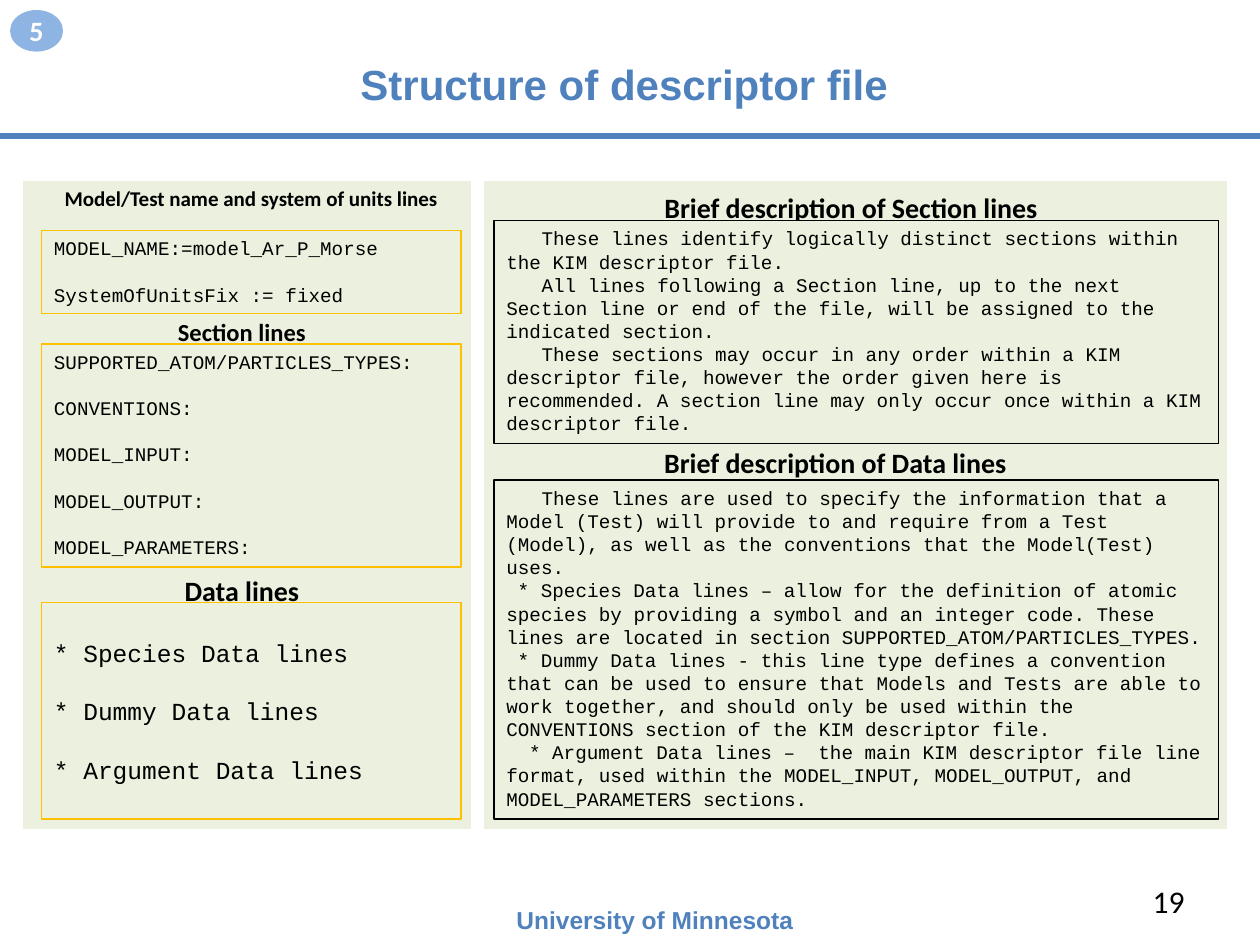
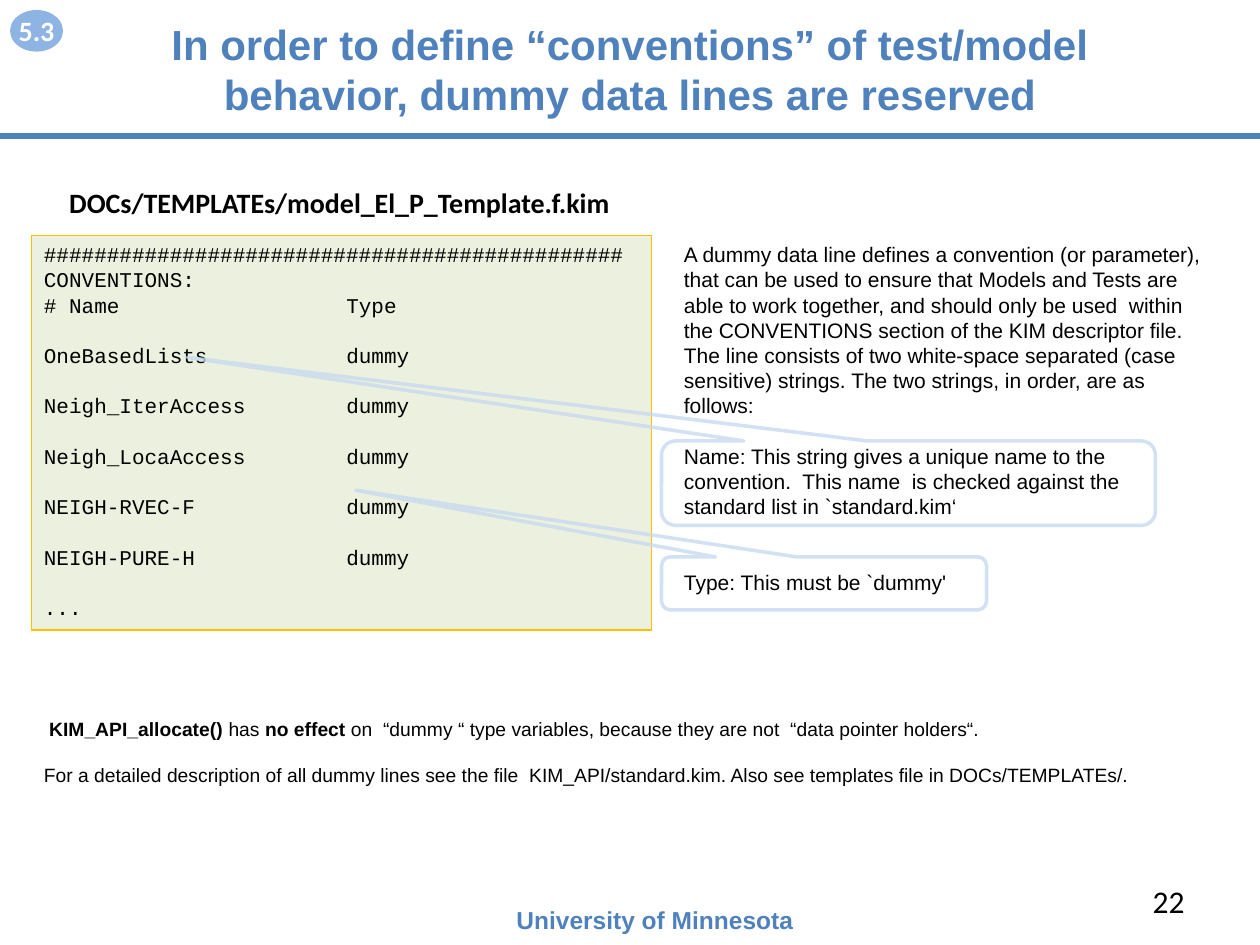
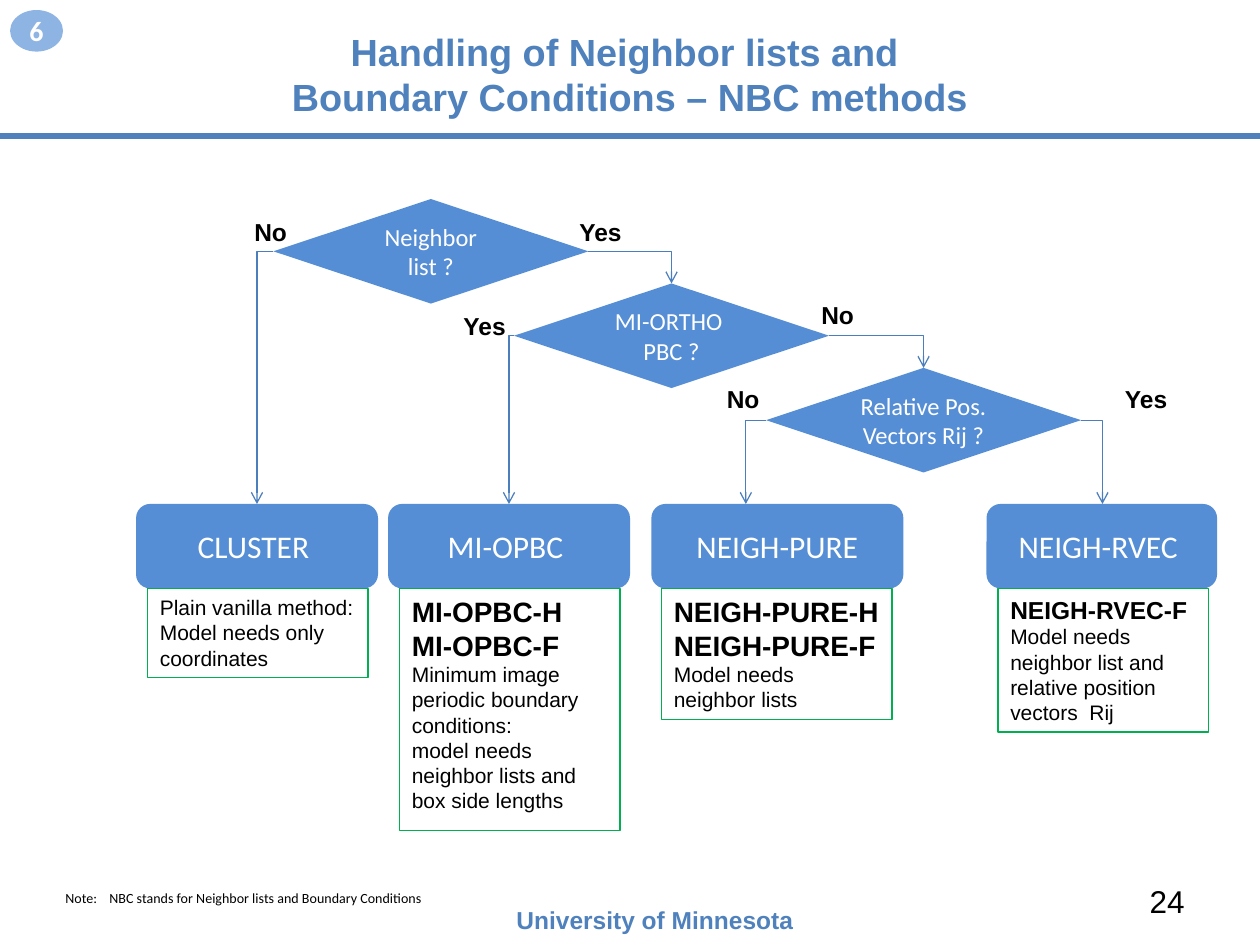
from lxml import etree
from pptx import Presentation
from pptx.dml.color import RGBColor
from pptx.enum.shapes import MSO_CONNECTOR, MSO_SHAPE
from pptx.enum.text import MSO_ANCHOR, PP_ALIGN
from pptx.oxml.ns import qn
from pptx.util import Inches, Pt

COLORS = {
    "accent": "4F81BD", "badge": "8EB4E3", "node": "558ED5", "arrow": "4B7EBC",
    "panel": "EBF1DE", "gold": "FFC000", "green": "00B050", "callout": "C6D9F1",
    "black": "000000", "white": "FFFFFF",
}
SANS, BODY, CODE = "Arial", "Calibri", "Courier New"
CENTER, RIGHT = PP_ALIGN.CENTER, PP_ALIGN.RIGHT
LINE_HEIGHT = 1.2


def rgb(name):
    return RGBColor.from_string(COLORS[name])


def sub(parent, tag, **attrs):
    return etree.SubElement(parent, qn(tag), attrs)


def write(sp, paras, size=12, font=SANS, color="black", bold=False, align=None,
          anchor=MSO_ANCHOR.TOP, gaps=(), indents=(), tab=None, insets=None):
    """Fill a shape with paragraphs: each a string or a list of (text, size, bold).

    gaps holds the lines left free before each paragraph, indents its first-line
    indent and tab one tab stop, both in inches.
    """
    tf = sp.text_frame
    tf.word_wrap = True
    tf.vertical_anchor = anchor
    if insets:
        (tf.margin_left, tf.margin_top,
         tf.margin_right, tf.margin_bottom) = map(Inches, insets)
    if isinstance(paras, str):
        paras = [paras]
    for i, runs in enumerate(paras):
        p = tf.paragraphs[0] if i == 0 else tf.add_paragraph()
        p.alignment = align
        if i < len(gaps) and gaps[i]:
            p.space_before = Pt(gaps[i] * LINE_HEIGHT * size)
        pPr = p._p.get_or_add_pPr()
        if i < len(indents):
            pPr.set("indent", str(Inches(indents[i])))
        if tab:
            sub(sub(pPr, "a:tabLst"), "a:tab", pos=str(Inches(tab)), algn="l")
        for text, r_size, r_bold in [(runs, size, bold)] if isinstance(runs, str) else runs:
            r = p.add_run()
            r.text = text
            r.font.size, r.font.name, r.font.bold = Pt(r_size), font, r_bold
            r.font.color.rgb = rgb(color)


def add_text(s, box, paras, **fmt):
    write(s.shapes.add_textbox(*map(Inches, box)), paras, **fmt)


def add_box(s, kind, box, fill=None, line=None, width=0.75, paras=None, **fmt):
    sp = s.shapes.add_shape(kind, *map(Inches, box))
    sp.shadow.inherit = False
    if fill:
        sp.fill.solid()
        sp.fill.fore_color.rgb = rgb(fill)
    else:
        sp.fill.background()
    if line:
        sp.line.color.rgb = rgb(line)
        sp.line.width = Pt(width)
    else:
        sp.line.fill.background()
    if paras:
        write(sp, paras, **fmt)
    return sp


def add_line(s, start, end, color, width, kind=MSO_CONNECTOR.STRAIGHT):
    c = s.shapes.add_connector(kind, *map(Inches, start + end))
    c.line.color.rgb = rgb(color)
    c.line.width = Pt(width)
    sub(c.element.spPr, "a:effectLst")
    return c


def add_bent_arrow(s, start, end):
    """Arrow that runs sideways first, then down."""
    c = add_line(s, start, end, "arrow", 0.75, MSO_CONNECTOR.ELBOW)
    geom = c.element.spPr.find(qn("a:prstGeom"))
    geom.set("prst", "bentConnector2")
    sub(c.line._get_or_add_ln(), "a:tailEnd", type="arrow")


def add_frame(prs, title, badge, number, title_top=0.25, title_size=24, number_font=BODY):
    """New slide with title, rule, footer, page number and section badge."""
    s = prs.slides.add_slide(prs.slide_layouts[6])
    add_text(s, (0.5, title_top, 9, 0.67), title, size=title_size, color="accent",
             bold=True, align=CENTER, anchor=MSO_ANCHOR.MIDDLE)
    add_line(s, (0, 1.08), (10, 1.08), "accent", 3)
    add_text(s, (4, 7.13, 2.67, 0.34), "University of Minnesota", size=14,
             color="accent", bold=True)
    add_text(s, (7.17, 6.95, 2.33, 0.4), number, size=18, font=number_font,
             align=RIGHT, anchor=MSO_ANCHOR.MIDDLE)
    add_box(s, MSO_SHAPE.OVAL, (0.08, 0.08, 0.42, 0.33), "badge", paras=badge, size=16,
            font=BODY, color="white", bold=True, align=CENTER,
            anchor=MSO_ANCHOR.MIDDLE, insets=(0, 0.05, 0, 0.05))
    return s


def add_panel(s, box, line, sections):
    """Tinted panel; sections give (heading box, heading, size, body box, body, format)."""
    x, y, w, h = box
    add_box(s, MSO_SHAPE.RECTANGLE, box, "panel", "white", 2)
    for (hx, hy, hw, hh), heading, size, (bx, by, bw, bh), body, fmt in sections:
        add_text(s, (x + hx, y + hy, hw, hh), heading, size=size, font=BODY,
                 bold=True, align=CENTER)
        add_box(s, MSO_SHAPE.RECTANGLE, (x + bx, y + by, bw, bh), "panel", line,
                paras=body, font=CODE, **fmt)


def build_descriptor_slide(prs):
    s = add_frame(prs, "Structure of descriptor file ", "5", "19", title_top=0.33)
    spaced = (0, 1, 1, 1, 1)
    add_panel(s, (0.17, 1.42, 3.58, 5.17), "gold", [
        ((0.16, 0, 3.33, 0.3), "Model/Test name and system of units lines", 12,
         (0.16, 0.41, 3.33, 0.66),
         ["MODEL_NAME:=model_Ar_P_Morse", "SystemOfUnitsFix := fixed"],
         dict(size=11, gaps=spaced)),
        ((0.75, 1.05, 2, 0.34), "Section lines", 14,
         (0.16, 1.31, 3.33, 1.77),
         ["SUPPORTED_ATOM/PARTICLES_TYPES:", "CONVENTIONS:", "MODEL_INPUT:",
          "MODEL_OUTPUT:", "MODEL_PARAMETERS:"],
         dict(size=11, gaps=spaced)),
        ((0.75, 3.08, 2, 0.37), "Data lines", 16,
         (0.16, 3.36, 3.33, 1.72),
         ["* Species Data lines", "* Dummy Data lines", "* Argument Data lines"],
         dict(size=14, gaps=spaced, insets=(0.1, 0.28, 0.1, 0.05))),
    ])
    add_panel(s, (3.83, 1.42, 5.92, 5.17), "black", [
        ((1.34, 0.04, 3.17, 0.64), "Brief description of Section lines", 16,
         (0.09, 0.33, 5.75, 1.77),
         ["These lines identify logically distinct sections within the KIM descriptor file.",
          "All lines following a Section line, up to the next Section line or end of "
          "the file, will be assigned to the indicated section.",
          "These sections may occur in any order within a KIM descriptor file, however "
          "the order given here is recommended. A section line may only occur once "
          "within a KIM descriptor file."],
         dict(size=11, indents=(0.28, 0.28, 0.28))),
        ((0.59, 2.07, 4.42, 0.37), "Brief description of Data lines", 16,
         (0.09, 2.39, 5.75, 2.69),
         ["These lines are used to specify the information that a Model (Test) will "
          "provide to and require from a Test (Model), as well as the conventions that "
          "the Model(Test) uses.",
          "* Species Data lines – allow for the definition of atomic species by providing "
          "a symbol and an integer code. These lines are located in section "
          "SUPPORTED_ATOM/PARTICLES_TYPES.",
          "* Dummy Data lines - this line type defines a convention that can be used to "
          "ensure that Models and Tests are able to work together, and should only be "
          "used within the CONVENTIONS section of the KIM descriptor file.",
          "* Argument Data lines –  the main KIM descriptor file line format, used within "
          "the MODEL_INPUT, MODEL_OUTPUT, and MODEL_PARAMETERS sections."],
         dict(size=11, indents=(0.28, 0.09, 0.09, 0.18))),
    ])


def add_callout(s, box, tip):
    sp = add_box(s, MSO_SHAPE.ROUNDED_RECTANGULAR_CALLOUT, box, None, "callout", 2)
    sp.adjustments[0], sp.adjustments[1] = tip
    color = sp.line._get_or_add_ln().find(".//" + qn("a:srgbClr"))
    sub(color, "a:alpha", val="77000")


def add_code_listing(s, box):
    names = ["OneBasedLists", "Neigh_IterAccess", "Neigh_LocaAccess",
             "NEIGH-RVEC-F", "NEIGH-PURE-H"]
    lines = (["#" * 46, "CONVENTIONS:", "# Name\tType"]
             + [f"{name}\tdummy" for name in names] + ["..."])
    add_box(s, MSO_SHAPE.RECTANGLE, box, "panel", "gold", paras=lines, font=CODE,
            gaps=(0, 0, 0) + (1,) * 6, tab=2.4)


def build_conventions_slide(prs):
    s = add_frame(prs, "In order to define “conventions” of test/model behavior, "
                  "dummy data lines are reserved", "5.3", "22", title_top=0.21)
    add_code_listing(s, (0.25, 1.87, 4.92, 3.13))
    add_text(s, (5.33, 1.87, 4.33, 2.93), [
        "A dummy data line defines a convention (or parameter), that can be used to ensure "
        "that Models and Tests are able to work together, and should only be used  within "
        "the CONVENTIONS section of the KIM descriptor file.  The line consists of two "
        "white-space separated (case sensitive) strings. The two strings, in order, are "
        "as follows:",
        "Name: This string gives a unique name to the convention.  This name  is checked "
        "against the standard list in `standard.kim‘",
        "Type: This must be `dummy'"], gaps=(0, 1, 2))
    add_callout(s, (5.25, 4.42, 2.58, 0.42), (-1.44, -1.76))
    add_callout(s, (5.25, 3.5, 3.92, 0.67), (-1.46, -1.49))
    add_text(s, (0.25, 5.64, 9.17, 1.03), [
        [(" KIM_API_allocate() ", 11, True), ("has ", 11, False), ("no effect ", 11, True),
         ("on  “dummy “ type variables, because they are not  “data pointer holders“.",
          11, False)],
        "For a detailed description of all dummy lines see the file  KIM_API/standard.kim. "
        "Also see templates file in DOCs/TEMPLATEs/."], size=11, gaps=(0, 1))
    add_text(s, (0.17, 1.42, 5, 0.37), " DOCs/TEMPLATEs/model_El_P_Template.f.kim",
             size=16, font=BODY, bold=True, align=CENTER)


def add_node(s, kind, box, paras, size):
    add_box(s, kind, box, "node", paras=paras, size=size, font=BODY, color="white",
            align=CENTER, anchor=MSO_ANCHOR.MIDDLE)


def add_decision(s, x, y, question, left, right):
    """Diamond with arrows; left and right give (answer, answer x, answer y, arrow end)."""
    w, h = 2.5, 0.83
    add_node(s, MSO_SHAPE.FLOWCHART_DECISION, (x, y, w, h), question, 14)
    for side, (answer, ax, ay, end) in ((x, left), (x + w, right)):
        add_text(s, (ax, ay, 0.67, 0.33), answer, size=14, bold=True)
        add_bent_arrow(s, (side, y + h / 2), end)


def add_method(s, x, w, name, note_dx, note_w, note_h, note):
    add_node(s, MSO_SHAPE.ROUNDED_RECTANGLE, (x, 4, w, 0.67), name, 18)
    add_box(s, MSO_SHAPE.RECTANGLE, (x + note_dx, 4.67, note_w, note_h), None, "green",
            paras=note)


def build_nbc_slide(prs):
    s = add_frame(prs, ["Handling of Neighbor lists and ",
                        "Boundary Conditions – NBC methods"], "6", "24",
                  title_size=21.6, number_font=SANS)
    add_decision(s, 2.17, 1.58, "Neighbor list ?",
                 ("No", 1.92, 1.67, (2.04, 4)), ("Yes", 4.5, 1.67, (5.33, 2.25)))
    add_decision(s, 4.08, 2.25, ["MI-ORTHO ", "PBC ?"],
                 ("Yes", 3.58, 2.42, (4.04, 4)), ("No", 6.42, 2.33, (7.33, 2.92)))
    add_decision(s, 6.08, 2.92, "Relative Pos. Vectors Rij ?",
                 ("No", 5.67, 3, (5.92, 4)), ("Yes", 8.83, 3, (8.75, 4)))
    add_method(s, 1.08, 1.92, "CLUSTER ", 0.09, 1.75, 0.71,
               ["Plain vanilla method:", "Model needs only coordinates"])
    add_method(s, 3.08, 1.92, "MI-OPBC ", 0.09, 1.75, 1.92,
               [[("MI-OPBC-H", 16, True)], [("MI-OPBC-F", 16, True)],
                "Minimum image periodic boundary conditions:",
                "model needs neighbor lists and box side lengths"])
    add_method(s, 5.17, 2, "NEIGH-PURE", 0.08, 1.83, 1.04,
               [[("NEIGH-PURE-H", 16, True)], [("NEIGH-PURE-F", 16, True)],
                "Model needs neighbor lists"])
    add_method(s, 7.83, 1.83, "NEIGH-RVEC ", 0.09, 1.67, 1.14,
               [[("NEIGH-RVEC-F", 14, True)],
                "Model needs neighbor list and relative position vectors  Rij"])
    add_text(s, (0.42, 7.01, 7.42, 0.24),
             "Note:\tNBC stands for Neighbor lists and Boundary Conditions",
             size=8, font=BODY, tab=0.35)


def main():
    prs = Presentation()
    prs.slide_width, prs.slide_height = Inches(10), Inches(7.5)
    build_descriptor_slide(prs)
    build_conventions_slide(prs)
    build_nbc_slide(prs)
    prs.save("out.pptx")


if __name__ == "__main__":
    main()
